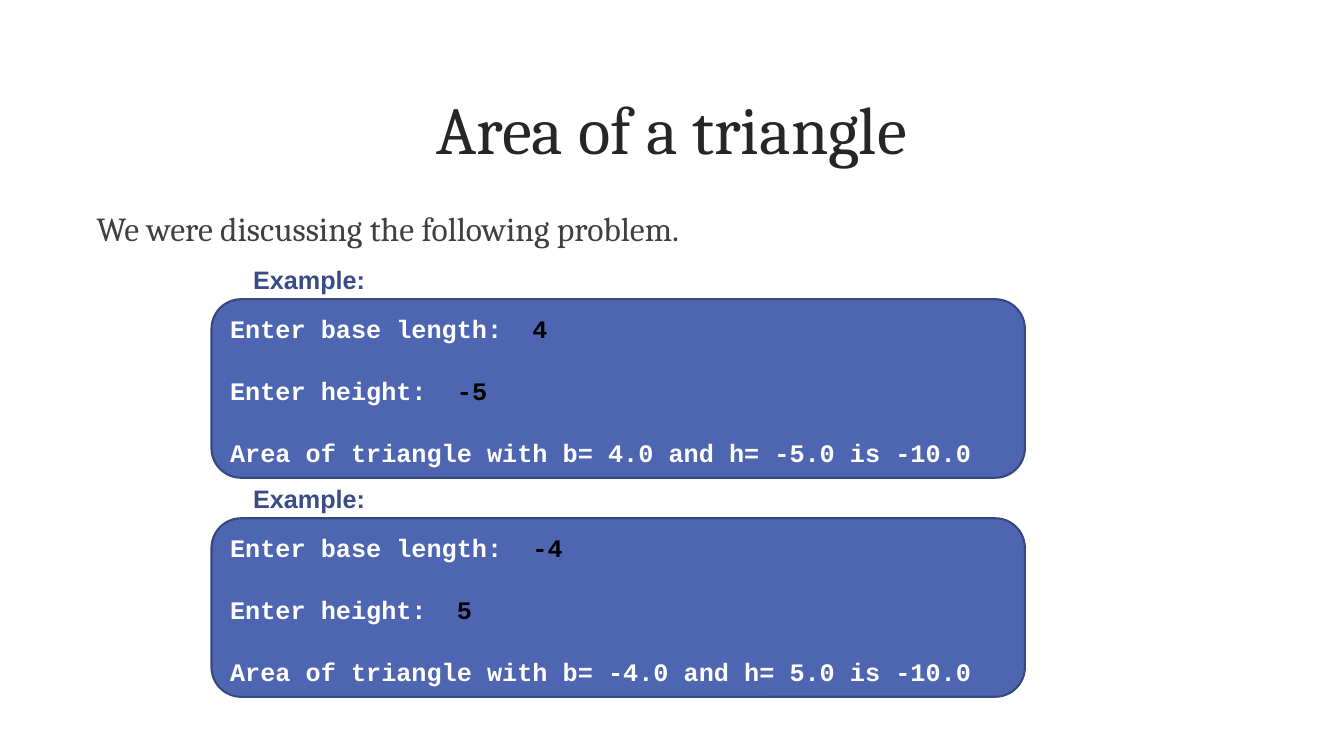
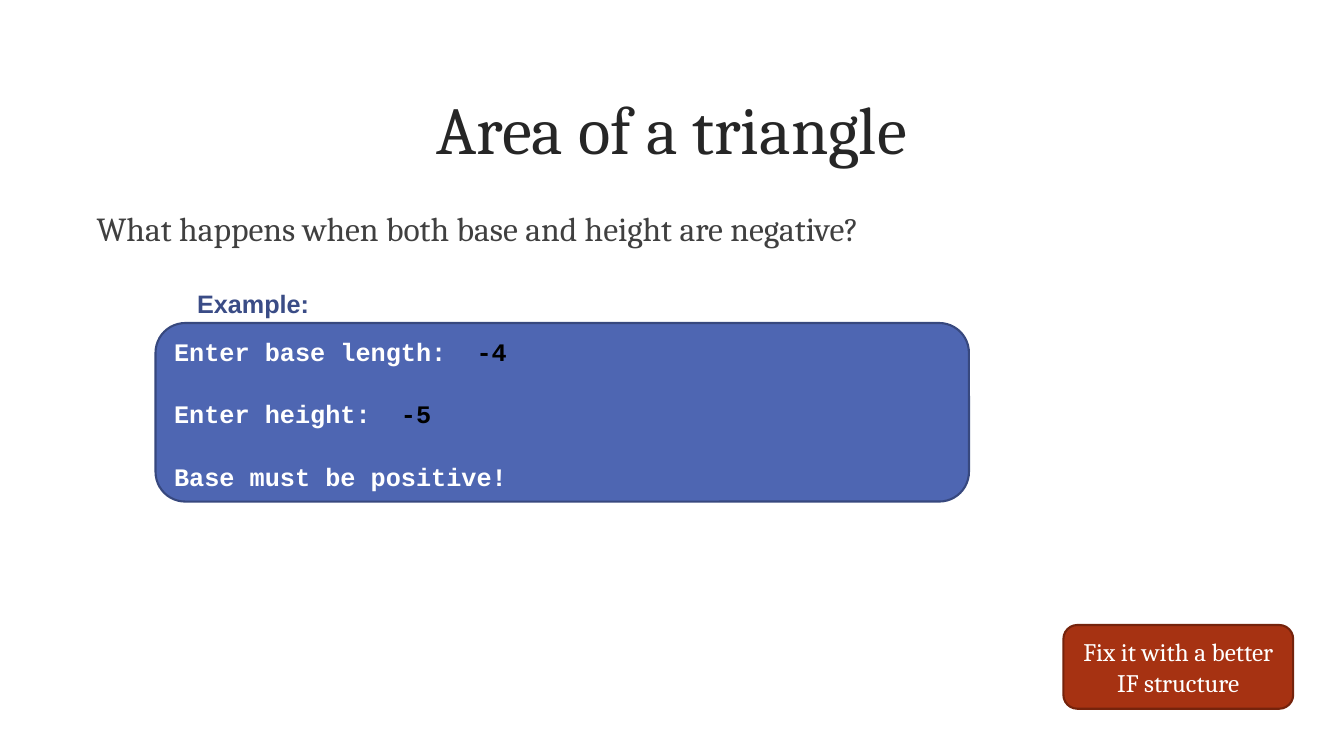
import pptx
import pptx.dml.color
import pptx.enum.shapes
import pptx.enum.text
import pptx.oxml.ns
import pptx.util

Cm = pptx.util.Cm
Pt = pptx.util.Pt
RGBColor = pptx.dml.color.RGBColor
PP_ALIGN = pptx.enum.text.PP_ALIGN
MSO_ANCHOR = pptx.enum.text.MSO_ANCHOR
ROUNDED = pptx.enum.shapes.MSO_SHAPE.ROUNDED_RECTANGLE

WHITE = RGBColor(0xFF, 0xFF, 0xFF)
BLACK = RGBColor(0x00, 0x00, 0x00)
TITLE_GREY = RGBColor(0x26, 0x26, 0x26)
BODY_GREY = RGBColor(0x40, 0x40, 0x40)
BLUE = RGBColor(0x4E, 0x66, 0xB2)
BLUE_EDGE = RGBColor(0x37, 0x48, 0x7E)
LABEL_BLUE = RGBColor(0x3A, 0x4C, 0x86)
RED = RGBColor(0xA6, 0x32, 0x12)
RED_EDGE = RGBColor(0x75, 0x23, 0x0C)

TITLE_FONT = {"name": "Cambria", "size": Pt(48), "bold": False}
BODY_FONT = {"name": "Cambria", "size": Pt(24), "bold": False}
NOTE_FONT = {"name": "Cambria", "size": Pt(18), "bold": False}
CODE_FONT = {"name": "Courier New", "size": Pt(18), "bold": True}
LABEL_FONT = {"name": "Arial", "size": Pt(18), "bold": True}

TITLE_PLACE = (2.03, 1.22, 29.79, 4.01)
BODY_PLACE = (2.18, 5.11, 29.54, 10.97)
CONSOLE_SIZE = (20.5, 4.5)


def set_all(target, values):
    for name, value in values.items():
        setattr(target, name, value)


class Lesson:
    def __init__(self):
        self.deck = pptx.Presentation()
        set_all(self.deck, {"slide_width": Cm(33.87), "slide_height": Cm(19.05)})
        self.page = None

    def add_page(self, title, statement):
        self.page = self.deck.slides.add_slide(self.deck.slide_layouts[1])
        heading, body = self.page.placeholders
        self.place(heading, TITLE_PLACE)
        self.frame(heading, MSO_ANCHOR.MIDDLE)
        para = heading.text_frame.paragraphs[0]
        para.alignment = PP_ALIGN.CENTER
        self.add_text(para, title, TITLE_FONT, TITLE_GREY)

        self.place(body, BODY_PLACE)
        self.frame(body, MSO_ANCHOR.TOP)
        para = body.text_frame.paragraphs[0]
        para.space_before = Pt(4.8)
        self.add_text(para, statement, BODY_FONT, BODY_GREY)
        settings = para._p.get_or_add_pPr()
        settings.set("marL", "0")
        settings.set("indent", "0")
        settings.append(settings.makeelement(pptx.oxml.ns.qn("a:buNone"), {}))

    def place(self, box, lengths):
        set_all(box, dict(zip(("left", "top", "width", "height"), map(Cm, lengths))))

    def frame(self, box, anchor):
        set_all(box.text_frame, {
            "word_wrap": True,
            "auto_size": pptx.enum.text.MSO_AUTO_SIZE.NONE,
            "vertical_anchor": anchor,
        })

    def add_text(self, para, text, font, color):
        span = para.add_run()
        span.text = text
        set_all(span.font, font)
        span.font.color.rgb = color

    def panel(self, shapes, lengths, fill, edge, anchor):
        box = shapes.add_shape(ROUNDED, *map(Cm, lengths))
        box.shadow.inherit = False
        box.fill.solid()
        box.fill.fore_color.rgb = fill
        box.line.color.rgb = edge
        box.line.width = Pt(1.5)
        self.frame(box, anchor)
        return box

    def example(self, left, top, base, height, result):
        group = self.page.shapes.add_group_shape()
        console = self.panel(group.shapes, (left, top, *CONSOLE_SIZE), BLUE, BLUE_EDGE, MSO_ANCHOR.TOP)
        lines = (("Enter base length:  ", base), ("Enter height:  ", height), (result, ""))
        for index, (prompt, answer) in enumerate(lines):
            if index:
                para = console.text_frame.add_paragraph()
                para.space_before = Pt(22.8)
            else:
                para = console.text_frame.paragraphs[0]
            para.alignment = PP_ALIGN.LEFT
            self.add_text(para, prompt, CODE_FONT, WHITE)
            if answer:
                self.add_text(para, answer, CODE_FONT, BLACK)

        label = group.shapes.add_textbox(*map(Cm, (left + 0.8, top - 1.01, 3.81, 1.02)))
        self.frame(label, MSO_ANCHOR.TOP)
        self.add_text(label.text_frame.paragraphs[0], "Example:", LABEL_FONT, LABEL_BLUE)

    def note(self, lengths, text):
        box = self.panel(self.page.shapes, lengths, RED, RED_EDGE, MSO_ANCHOR.MIDDLE)
        para = box.text_frame.paragraphs[0]
        para.alignment = PP_ALIGN.CENTER
        self.add_text(para, text, NOTE_FONT, WHITE)


lesson = Lesson()

lesson.add_page("Area of a triangle", "We were discussing the following problem.")
lesson.example(5.33, 7.54, "4", "-5", "Area of triangle with b= 4.0 and h= -5.0 is -10.0")
lesson.example(5.33, 13.06, "-4", "5", "Area of triangle with b= -4.0 and h= 5.0 is -10.0")

lesson.add_page("Area of a triangle", "What happens when both base and height are negative?")
lesson.example(3.92, 8.14, "-4", "-5", "Base must be positive!")
lesson.note((26.8, 15.75, 5.79, 2.11), "Fix it with a better IF structure")

lesson.deck.save("out.pptx")
